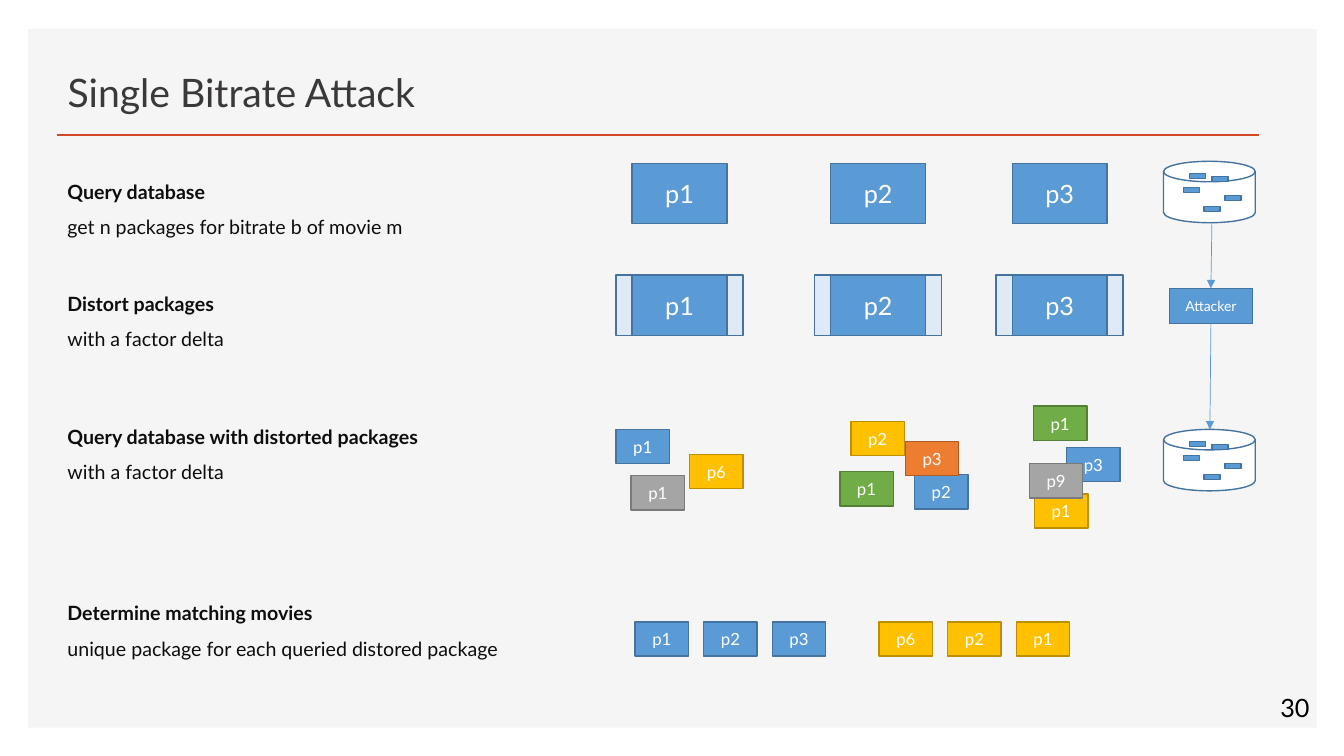
"""Build the slide that explains the single bitrate attack."""
from lxml import etree
from pptx import Presentation
from pptx import util as u
from pptx.dml.color import RGBColor
from pptx.enum import shapes, text
from pptx.oxml.ns import qn

PX = 9144
FONT = "Lato"
COLORS = {
    "panel": "F5F5F5", "rule": "D24726", "title": "3B3838", "body": "0D0D0D",
    "black": "000000", "white": "FFFFFF", "pale": "DEEBF7",
    "blue": "5B9BD5", "blue_edge": "43739E",
    "gray": "A5A5A5", "gray_edge": "7A7A7A",
    "gold": "FFC000", "gold_edge": "BD8E00",
    "green": "70AD47", "green_edge": "538035",
    "orange": "ED7D31", "orange_edge": "AF5C24",
}
PACKAGES = [("p1", 627), ("p2", 824), ("p3", 1004)]
PACKAGE_SIZE = (94, 60)
MARGIN = 16
CHIP_SIZE = (53, 34)
STEPS = [
    ("Query database", "get n packages for bitrate b of movie m", (57, 162, 554, 102)),
    ("Distort packages", "with a factor delta", (57, 273, 554, 102)),
    ("Query database with distorted packages", "with a factor delta", (57, 405, 415, 102)),
    ("Determine matching movies", "unique package for each queried distored package",
     (57, 580, 449, 102)),
]
RESULTS = [
    ("p1", "blue", 611, 426), ("p1", "gray", 626, 472), ("p6", "gold", 684, 451),
    ("p2", "gold", 844, 418), ("p1", "green", 833, 468), ("p2", "blue", 907, 471),
    ("p3", "orange", 898, 438), ("p1", "green", 1025, 403), ("p1", "gold", 1026, 490),
    ("p3", "blue", 1058, 444), ("p9", "gray", 1021, 460),
]
MATCHES = [("blue", 630, ["p1", "p2", "p3"]), ("gold", 872, ["p6", "p2", "p1"])]
RECORDS = [(26, 12), (20, 26), (40, 45), (48, 15), (61, 34)]


def emu(box):
    """Turn px lengths into EMU."""
    return [value * PX for value in box]


def rgb(name):
    """Look up a named colour."""
    return RGBColor.from_string(COLORS[name])


def write(para, words, size=18, color="white", bold=False):
    """Add a formatted span of text to a paragraph."""
    span = para.add_run()
    span.text = words
    span.font.name = FONT
    span.font.size = u.Pt(size)
    span.font.bold = bold
    span.font.color.rgb = rgb(color)


def add_block(parent, box, fill="blue", edge="blue_edge", label="", size=18,
              kind=shapes.MSO_SHAPE.RECTANGLE):
    """Draw a filled shape with an optional centred label."""
    block = parent.add_shape(kind, *emu(box))
    block.shadow.inherit = False
    block.fill.solid()
    block.fill.fore_color.rgb = rgb(fill)
    if edge:
        block.line.color.rgb = rgb(edge)
        block.line.width = u.Pt(1)
    else:
        block.line.fill.background()
    if label:
        frame = block.text_frame
        frame.vertical_anchor = text.MSO_ANCHOR.MIDDLE
        frame.margin_left = frame.margin_right = 0
        frame.paragraphs[0].alignment = text.PP_ALIGN.CENTER
        write(frame.paragraphs[0], label, size=size)
    return block


def add_line(parent, start, end, color, width, arrow=False):
    """Draw a straight line, with an arrowhead at its end if asked."""
    line = parent.add_connector(shapes.MSO_CONNECTOR.STRAIGHT, *emu(start + end))
    line.line.color.rgb = rgb(color)
    line.line.width = u.Pt(width)
    if arrow:
        etree.SubElement(line.line._get_or_add_ln(), qn("a:tailEnd"), type="triangle")
    etree.SubElement(line._element.spPr, qn("a:effectLst"))


def add_textbox(parent, box):
    """Add a wrapping text box and return its first paragraph."""
    frame = parent.add_textbox(*emu(box)).text_frame
    frame.word_wrap = True
    return frame.paragraphs[0]


def add_frame(page):
    """Place the panel, title, rule and page number."""
    panel = add_block(page.shapes, (28, 29, 1278, 693), fill="panel", edge=None)
    page.shapes._spTree.insert(2, panel._element)
    title = page.shapes.title
    title.left, title.top, title.width, title.height = emu((57, 49, 752, 70))
    frame = title.text_frame
    frame.auto_size = text.MSO_AUTO_SIZE.NONE
    frame.vertical_anchor = text.MSO_ANCHOR.BOTTOM
    frame.paragraphs[0].alignment = text.PP_ALIGN.LEFT
    write(frame.paragraphs[0], "Single Bitrate Attack", size=28, color="title")
    add_line(page.shapes, (57, 134), (1249, 134), "rule", 2)
    write(add_textbox(page.shapes, (1260, 682, 50, 40)), "30", color="black")


def add_step(parent, heading, detail, box):
    """Write a bold heading with its detail on the next line."""
    para = add_textbox(parent, box)
    para.line_spacing = 1.5
    para.space_before, para.space_after = u.Pt(10), u.Pt(12)
    write(para, heading, size=14, color="body", bold=True)
    para.add_line_break()
    etree.SubElement(para._p[-1], qn("a:rPr"), sz="1400")
    write(para, detail, size=14, color="body")


def add_distorted(parent, label, box):
    """Draw a package inside its pale distortion margin."""
    left, top, width, height = box
    group = parent.add_group_shape().shapes
    add_block(group, (left - MARGIN, top, width + 2 * MARGIN, height), fill="pale")
    add_block(group, box, label=label)


def add_chip(parent, label, color, left, top):
    """Draw a small package in one of the movie colours."""
    add_block(parent, (left, top, *CHIP_SIZE), color, color + "_edge", label, 12)


def add_database(parent, box):
    """Draw a database disk with its records."""
    left, top = box[:2]
    group = parent.add_group_shape().shapes
    add_block(group, box, fill="white", kind=shapes.MSO_SHAPE.FLOWCHART_MAGNETIC_DISK)
    for across, down in RECORDS:
        add_block(group, (left + across, top + down, 16, 5))


def add_packages(parent):
    """Place the plain, distorted, returned and matched packages."""
    for label, left in PACKAGES:
        add_block(parent, (left, 162, *PACKAGE_SIZE), label=label)
        add_distorted(parent, label, (left, 273, *PACKAGE_SIZE))
    for chip in RESULTS:
        add_chip(parent, *chip)
    for color, left, labels in MATCHES:
        for index, label in enumerate(labels):
            add_chip(parent, label, color, left + 68 * index, 617)


def add_flow(parent):
    """Place the attacker between the two databases."""
    add_line(parent, (1202, 221), (1201, 286), "blue", 0.5, arrow=True)
    add_block(parent, (1160, 286, 82, 35), label="Attacker", size=10)
    add_line(parent, (1201, 321), (1200, 426), "blue", 0.5, arrow=True)
    for top in (426, 160):
        add_database(parent, (1154, top, 91, 61))


def main():
    """Build and save the deck."""
    deck = Presentation()
    deck.slide_width, deck.slide_height = emu((1333, 750))
    page = deck.slides.add_slide(deck.slide_layouts[5])
    add_frame(page)
    for step in STEPS:
        add_step(page.shapes, *step)
    add_packages(page.shapes)
    add_flow(page.shapes)
    deck.save("out.pptx")


if __name__ == "__main__":
    main()
